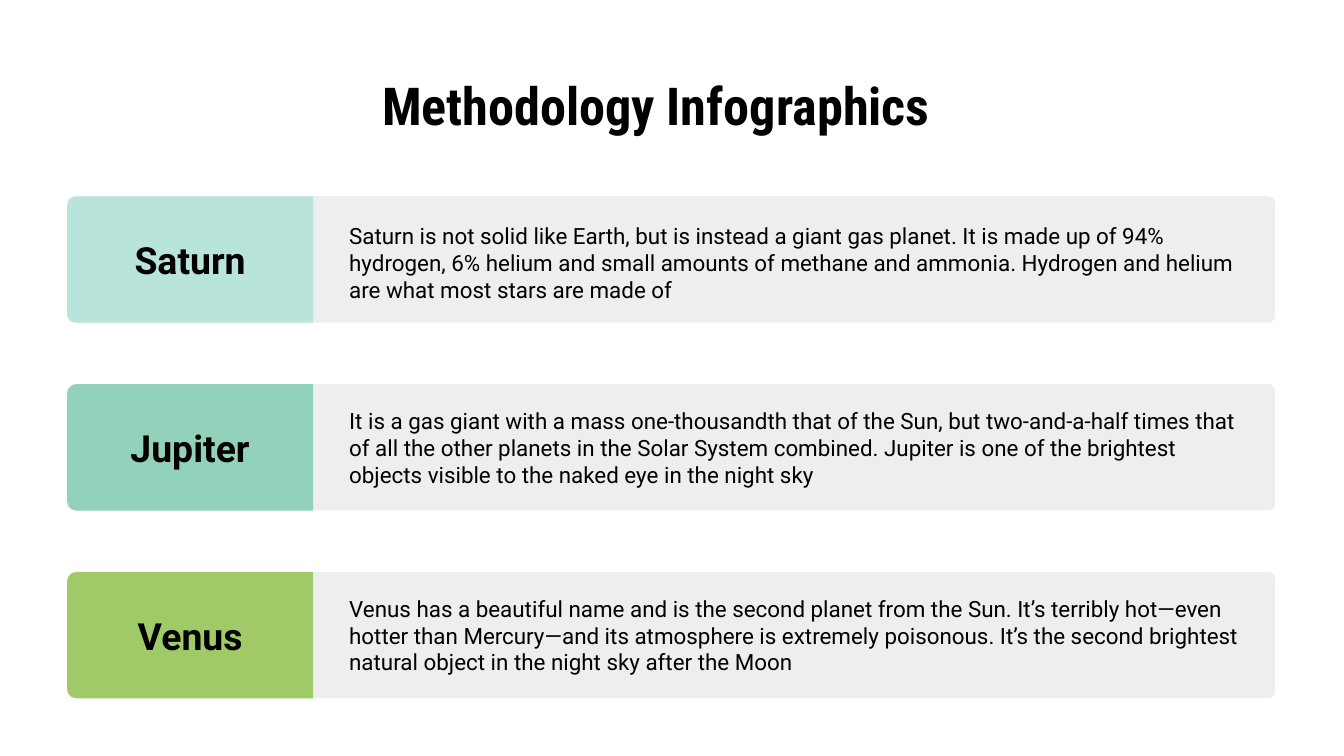
from pptx import Presentation
from pptx.dml.color import RGBColor
from pptx.enum.shapes import MSO_SHAPE
from pptx.enum.text import MSO_ANCHOR, PP_ALIGN
from pptx.util import Cm, Pt

# Content: name, label colour, description, downward shift of the description
TITLE = "Methodology Infographics"
PLANETS = [
    ("Saturn", "B8E4DC",
     "Saturn is not solid like Earth, but is instead a giant gas planet. It is made up of 94% "
     "hydrogen, 6% helium and small amounts of methane and ammonia. Hydrogen and helium "
     "are what most stars are made of", 0.06),
    ("Jupiter", "93D2BA",
     "It is a gas giant with a mass one-thousandth that of the Sun, but two-and-a-half times that "
     "of all the other planets in the Solar System combined. Jupiter is one of the brightest "
     "objects visible to the naked eye in the night sky", 0),
    ("Venus", "A0CA68",
     "Venus has a beautiful name and is the second planet from the Sun. It’s terribly hot—even "
     "hotter than Mercury—and its atmosphere is extremely poisonous. It’s the second brightest "
     "natural object in the night sky after the Moon", 0),
]

# Formats
TITLE_FONT = {"name": "Roboto Condensed", "size": Pt(28), "bold": True}
LABEL_FONT = {"name": "Roboto", "size": Pt(20), "bold": True}
BODY_FONT = {"name": "Roboto", "size": Pt(12), "bold": False}
BLACK, GREY = "000000", "EEEEEE"

# Layout in centimetres
LEFT, FIRST_TOP, PITCH = 1.27, 3.71, 3.55
BAND_WIDTH, BAND_HEIGHT, LABEL_WIDTH = 22.83, 2.39, 4.65
BODY_LEFT, BODY_WIDTH = 6.35, 17.37
LABEL_INSET, TEXT_HEIGHT = 0.3, 0.84
BAND_RADIUS, LABEL_RADIUS = 0.13, 0.18


def color(value):
    return RGBColor.from_string(value)


def write(box, text, font, align, anchor):
    frame = box.text_frame
    settings = {"word_wrap": True, "vertical_anchor": anchor}
    settings.update({f"margin_{side}": Cm(0.25) for side in ("left", "top", "right", "bottom")})
    for name, value in settings.items():
        setattr(frame, name, value)
    para = frame.paragraphs[0]
    para.alignment = align
    span = para.add_run()
    span.text = text
    for name, value in font.items():
        setattr(span.font, name, value)
    span.font.color.rgb = color(BLACK)


def add_panel(page, kind, left, top, width, height, fill, corner):
    panel = page.shapes.add_shape(kind, Cm(left), Cm(top), Cm(width), Cm(height))
    panel.shadow.inherit = False
    panel.fill.solid()
    panel.fill.fore_color.rgb = color(fill)
    panel.line.fill.background()
    panel.adjustments[0] = corner
    return panel


def add_text(page, left, middle, width, text, font, align):
    box = page.shapes.add_textbox(Cm(left), Cm(middle - TEXT_HEIGHT / 2), Cm(width), Cm(TEXT_HEIGHT))
    write(box, text, font, align, MSO_ANCHOR.MIDDLE)


def add_row(page, top, name, fill, description, shift):
    middle = top + BAND_HEIGHT / 2
    add_panel(page, MSO_SHAPE.ROUNDED_RECTANGLE, LEFT, top, BAND_WIDTH, BAND_HEIGHT,
              GREY, BAND_RADIUS / BAND_HEIGHT)
    # The label panel is turned so that its two round corners face left
    label = add_panel(page, MSO_SHAPE.ROUND_2_SAME_RECTANGLE,
                      LEFT + (LABEL_WIDTH - BAND_HEIGHT) / 2, middle - LABEL_WIDTH / 2,
                      BAND_HEIGHT, LABEL_WIDTH, fill, LABEL_RADIUS / BAND_HEIGHT)
    label.rotation = 270
    add_text(page, BODY_LEFT, middle + shift, BODY_WIDTH, description, BODY_FONT, PP_ALIGN.LEFT)
    add_text(page, LEFT + LABEL_INSET, middle, LABEL_WIDTH - 2 * LABEL_INSET,
             name, LABEL_FONT, PP_ALIGN.CENTER)


def main():
    deck = Presentation()
    deck.slide_width, deck.slide_height = Cm(25.4), Cm(14.29)
    page = deck.slides.add_slide(deck.slide_layouts[5])

    # Title
    title = page.shapes.title
    title.left, title.top, title.width, title.height = Cm(LEFT), Cm(1.14), Cm(22.25), Cm(1.32)
    write(title, TITLE, TITLE_FONT, PP_ALIGN.CENTER, MSO_ANCHOR.TOP)

    # One band for each planet
    for index, planet in enumerate(PLANETS):
        add_row(page, FIRST_TOP + index * PITCH, *planet)

    deck.save("out.pptx")


if __name__ == "__main__":
    main()
